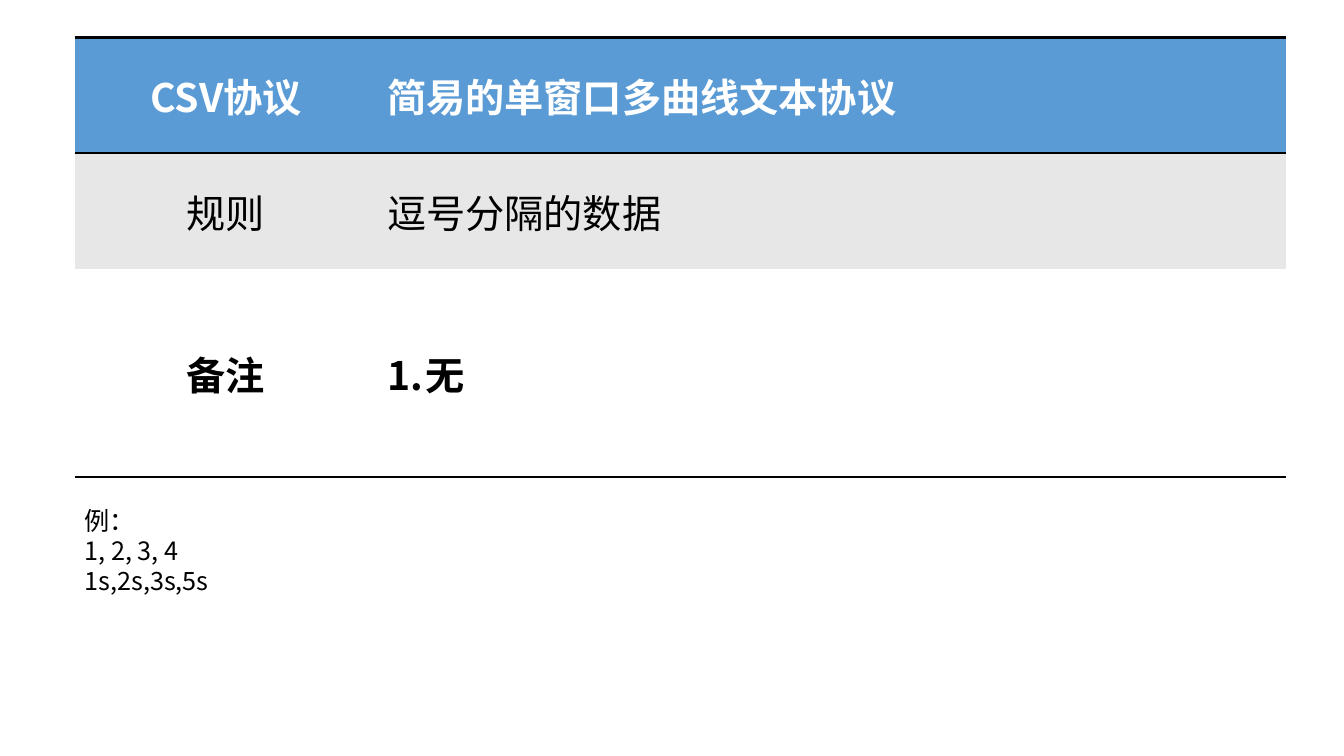
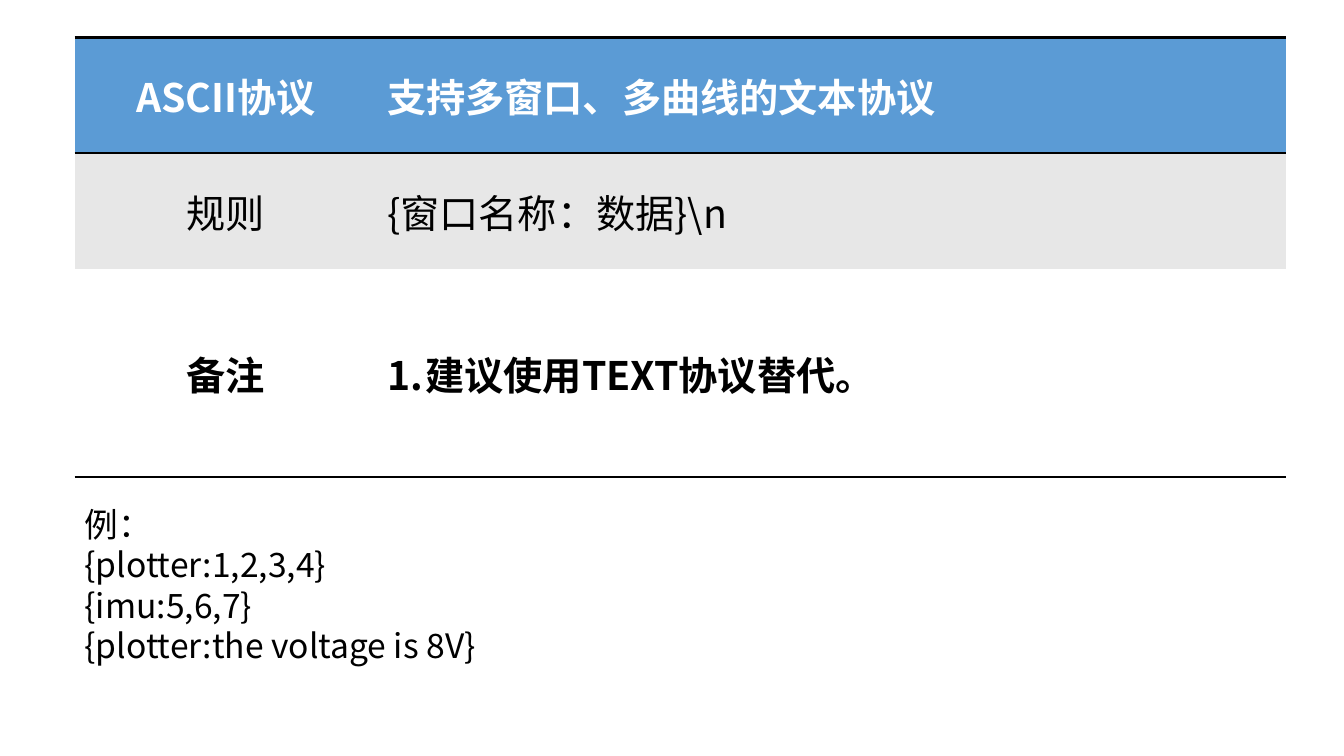
import pptx
import pptx.util
import pptx.dml.color
import pptx.enum.text
import pptx.oxml
import pptx.oxml.ns
from lxml import etree

Inches = pptx.util.Inches
Pt = pptx.util.Pt
ALIGN = pptx.enum.text.PP_ALIGN
ANCHOR = pptx.enum.text.MSO_ANCHOR

PROTOCOLS = [
    {
        "name": "CSV协议",
        "summary": "简易的单窗口多曲线文本协议",
        "rule": "逗号分隔的数据",
        "note": "无",
        "example": ["例：", "1, 2, 3, 4", "1s,2s,3s,5s"],
        "example_size": 18,
        "example_at": (0.74, 4.96, 9.84, 1.01),
    },
    {
        "name": "ASCII协议",
        "summary": "支持多窗口、多曲线的文本协议",
        "rule": "{窗口名称：数据}\\n",
        "note": "建议使用TEXT协议替代。",
        "example": ["例：", "{plotter:1,2,3,4}", "{imu:5,6,7}",
                    "{plotter:the voltage is 8V}"],
        "example_size": 24,
        "example_at": (0.74, 4.95, 10.41, 1.72),
    },
]

COLORS = {"header": "5B9BD5", "band": "E7E7E7", "paper": "FFFFFF", "ink": "000000"}
FONT = "Noto Sans CJK SC"
TABLE_AT = (0.74, 0.37)
COLUMNS = (3, 9.01)
ROWS = (
    {"height": 1.15, "fill": "header", "color": "paper", "bold": True,
     "edges": ("lnT", "lnB")},
    {"height": 1.15, "fill": "band", "color": "ink", "bold": False,
     "edges": ("lnT",)},
    {"height": 2.06, "fill": "paper", "color": "ink", "bold": True,
     "edges": ("lnB",)},
)
NOTE_INDENT = Inches(0.38)
PLAIN_TABLE_STYLE = "{2D5ABB26-0587-4C30-8999-92F81FD0307C}"


def rgb(name):
    return pptx.dml.color.RGBColor.from_string(COLORS[name])


def add_element(parent, tag, **attributes):
    return etree.SubElement(parent, pptx.oxml.ns.qn(tag), **attributes)


def write(frame, lines, size=28, color="ink", bold=False, align=ALIGN.LEFT,
          numbered=False):
    for index, line in enumerate(lines):
        para = frame.paragraphs[0] if index == 0 else frame.add_paragraph()
        para.alignment = align
        if numbered:
            properties = para._p.get_or_add_pPr()
            properties.set("marL", str(NOTE_INDENT))
            properties.set("indent", str(-NOTE_INDENT))
            add_element(properties, "a:buAutoNum", type="arabicPeriod")
        span = para.add_run()
        span.text = line
        span.font.size = Pt(size)
        span.font.bold = bold
        span.font.color.rgb = rgb(color)
        span.font.name = FONT
        add_element(span._r.get_or_add_rPr(), "a:ea", typeface=FONT)


def set_borders(cell, edges, width=2):
    properties = cell._tc.get_or_add_tcPr()
    for index, edge in enumerate(("lnL", "lnR", "lnT", "lnB")):
        line = add_element(properties, "a:" + edge, w=str(Pt(width)))
        if edge in edges:
            fill = add_element(line, "a:solidFill")
            add_element(fill, "a:srgbClr", val=COLORS["ink"])
        else:
            add_element(line, "a:noFill")
        properties.insert(index, line)


def add_protocol_table(page, protocol):
    content = [
        (protocol["name"], protocol["summary"]),
        ("规则", protocol["rule"]),
        ("备注", protocol["note"]),
    ]
    height = sum(row["height"] for row in ROWS)
    lengths = [Inches(value) for value in (*TABLE_AT, sum(COLUMNS), height)]
    table = page.shapes.add_table(len(ROWS), len(COLUMNS), *lengths).table
    table.first_row = table.horz_banding = False
    style = table._tbl.tblPr.find(pptx.oxml.ns.qn("a:tableStyleId"))
    style.text = PLAIN_TABLE_STYLE
    for column, width in zip(table.columns, COLUMNS):
        column.width = Inches(width)
    for row_index, (row, texts) in enumerate(zip(ROWS, content)):
        table.rows[row_index].height = Inches(row["height"])
        for column_index, text in enumerate(texts):
            cell = table.cell(row_index, column_index)
            cell.vertical_anchor = ANCHOR.MIDDLE
            cell.fill.solid()
            cell.fill.fore_color.rgb = rgb(row["fill"])
            set_borders(cell, row["edges"])
            is_label = column_index == 0
            write(cell.text_frame, [text], color=row["color"], bold=row["bold"],
                  align=ALIGN.CENTER if is_label else ALIGN.LEFT,
                  numbered=not is_label and texts[0] == "备注")


def add_example(page, protocol):
    lengths = [Inches(value) for value in protocol["example_at"]]
    box = page.shapes.add_textbox(*lengths)
    box.text_frame.word_wrap = True
    box.text_frame.auto_size = pptx.enum.text.MSO_AUTO_SIZE.SHAPE_TO_FIT_TEXT
    write(box.text_frame, protocol["example"], size=protocol["example_size"])


def main():
    deck = pptx.Presentation()
    deck.slide_width = Inches(13.33)
    deck.slide_height = Inches(7.5)
    for protocol in PROTOCOLS:
        page = deck.slides.add_slide(deck.slide_layouts[6])
        add_protocol_table(page, protocol)
        add_example(page, protocol)
    deck.save("out.pptx")


if __name__ == "__main__":
    main()
